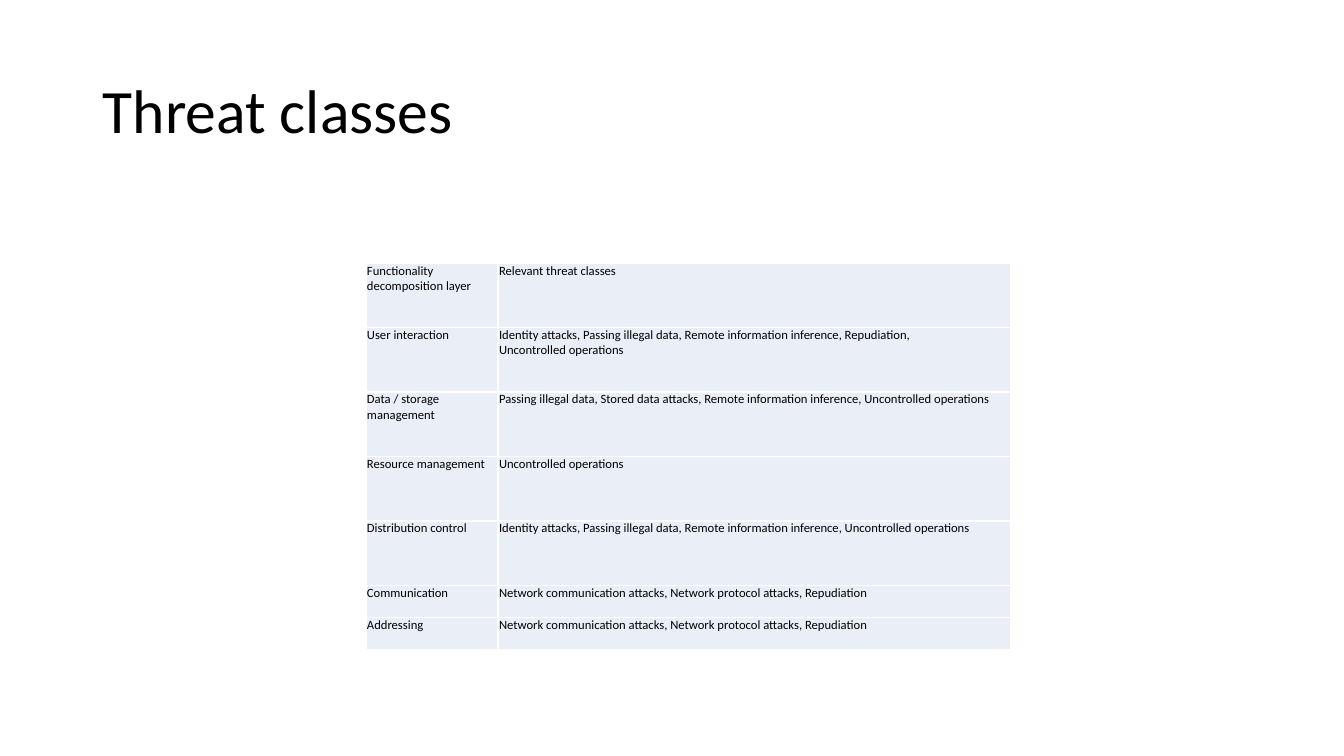
from dataclasses import dataclass

from lxml.etree import SubElement
from pptx import Presentation
from pptx.dml.color import RGBColor
from pptx.enum.text import MSO_ANCHOR as Anchor, PP_ALIGN as Align
from pptx.oxml.ns import qn
from pptx.slide import Slide
from pptx.table import _Cell as Cell
from pptx.text.text import _Paragraph as Para
from pptx.util import Inches, Pt

BLACK = RGBColor(0x00, 0x00, 0x00)
WHITE = RGBColor(0xFF, 0xFF, 0xFF)
PALE = RGBColor(0xEA, 0xEF, 0xF7)
FONT = "Calibri"
WIDTHS = (1.31, 5.08)


@dataclass
class Layer:
    name: str
    threats: str
    height: float = 0.64


NET = "Network communication attacks, Network protocol attacks, Repudiation"
LAYERS = [
    Layer("Functionality decomposition layer", "Relevant threat classes"),
    Layer("User interaction",
          "Identity attacks, Passing illegal data, Remote information inference, Repudiation,\n"
          "Uncontrolled operations"),
    Layer("Data / storage management",
          "Passing illegal data, Stored data attacks, Remote information inference, "
          "Uncontrolled operations"),
    Layer("Resource management", "Uncontrolled operations"),
    Layer("Distribution control",
          "Identity attacks, Passing illegal data, Remote information inference, "
          "Uncontrolled operations"),
    Layer("Communication", NET, 0.32),
    Layer("Addressing", NET, 0.32),
]


def style(para: Para, size: float) -> None:
    para.alignment = Align.LEFT
    para.font.name = FONT
    para.font.size = Pt(size)
    para.font.color.rgb = BLACK


def border(cell: Cell) -> None:
    props = cell._tc.get_or_add_tcPr()
    for side in ("a:lnL", "a:lnR", "a:lnT", "a:lnB"):
        line = SubElement(props, qn(side), w=str(Pt(1)))
        fill = SubElement(line, qn("a:solidFill"))
        SubElement(fill, qn("a:srgbClr"), val=str(WHITE))


def fill_cell(cell: Cell, text: str) -> None:
    border(cell)
    cell.fill.solid()
    cell.fill.fore_color.rgb = PALE
    cell.margin_left = cell.margin_right = Inches(0.01)
    cell.margin_top = cell.margin_bottom = 0
    cell.vertical_anchor = Anchor.TOP
    cell.text_frame.text = text
    for para in cell.text_frame.paragraphs:
        style(para, 9)


def add_title(slide: Slide, text: str) -> None:
    title = slide.shapes.title
    title.left, title.top = Inches(0.92), Inches(0.4)
    title.width, title.height = Inches(11.5), Inches(1.45)
    frame = title.text_frame
    frame.text = text
    frame.vertical_anchor = Anchor.MIDDLE
    para = frame.paragraphs[0]
    style(para, 44)
    para.line_spacing = 0.9


def add_grid(slide: Slide, layers: list[Layer]) -> None:
    high = sum(layer.height for layer in layers)
    grid = slide.shapes.add_table(
        len(layers), len(WIDTHS), Inches(3.63), Inches(2.61),
        Inches(sum(WIDTHS)), Inches(high)).table
    grid.first_row = grid.horz_banding = False
    for col, width in zip(grid.columns, WIDTHS):
        col.width = Inches(width)
    for row, layer in zip(grid.rows, layers):
        row.height = Inches(layer.height)
        for cell, text in zip(row.cells, (layer.name, layer.threats)):
            fill_cell(cell, text)


def main() -> None:
    deck = Presentation()
    deck.slide_width, deck.slide_height = Inches(13.33), Inches(7.5)
    # Title Only layout
    slide = deck.slides.add_slide(deck.slide_layouts[5])
    add_title(slide, "Threat classes")
    # Threats by layer
    add_grid(slide, LAYERS)
    deck.save("out.pptx")


if __name__ == "__main__":
    main()
